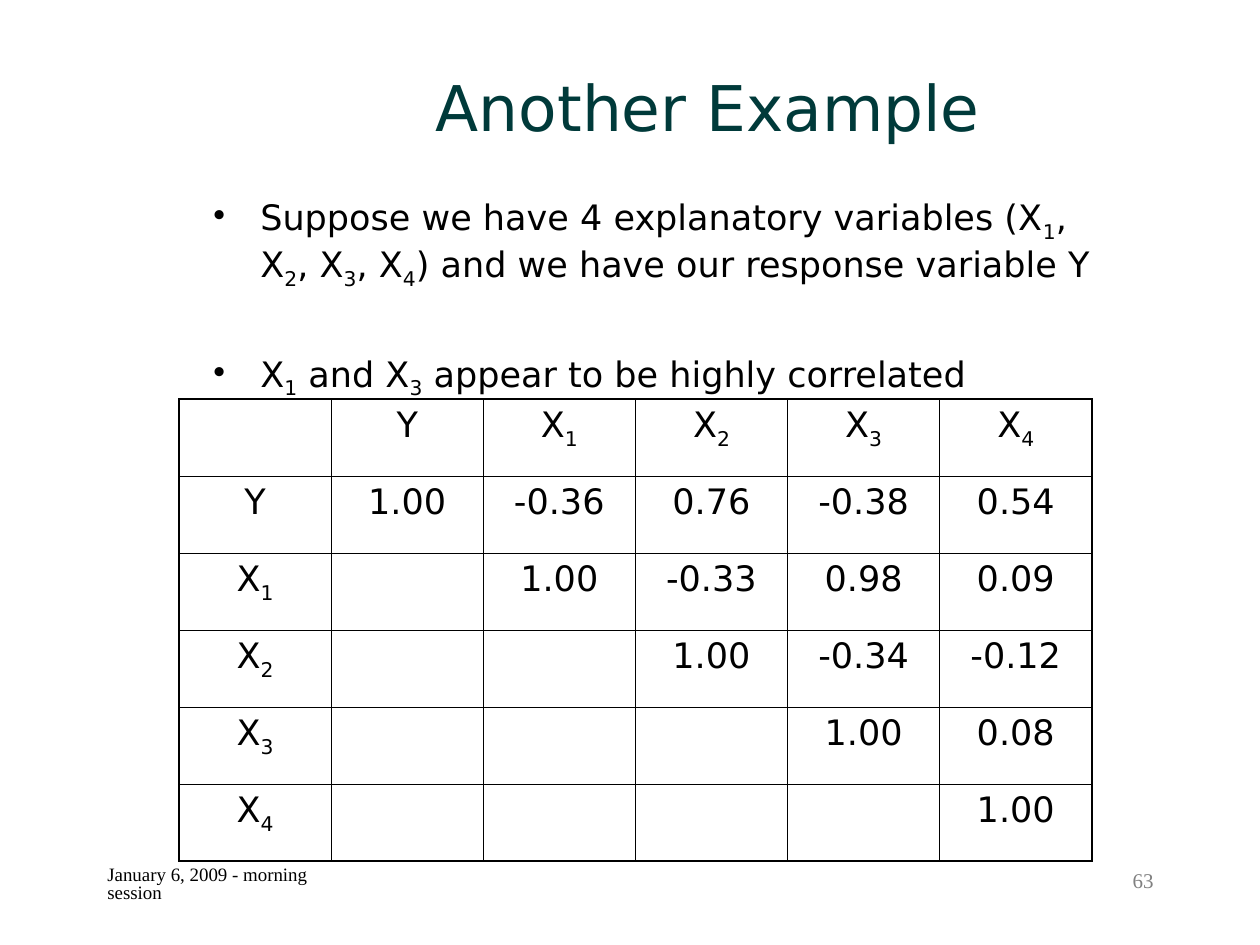
from lxml.etree import SubElement
from pptx import Presentation
from pptx.dml.color import RGBColor
from pptx.enum.text import MSO_ANCHOR, PP_ALIGN
from pptx.oxml.ns import qn
from pptx.util import Emu, Pt

PX_PER_INCH = 126
COLORS = {"title": "003A3A", "text": "000000", "border": "000000", "number": "808080"}
SANS, SERIF = "DejaVu Sans", "Times New Roman"
THIN, THICK = 0.45, 1.08

# An underscore puts the next character in subscript.
BULLETS = [
    "Suppose we have 4 explanatory variables (X_1, X_2, X_3, X_4)"
    " and we have our response variable Y",
    "X_1 and X_3 appear to be highly correlated",
]
VARIABLES = ["Y", "X_1", "X_2", "X_3", "X_4"]
CORRELATIONS = [
    ["1.00", "-0.36", "0.76", "-0.38", "0.54"],
    ["1.00", "-0.33", "0.98", "0.09"],
    ["1.00", "-0.34", "-0.12"],
    ["1.00", "0.08"],
    ["1.00"],
]


def px(length):
    return Emu(round(length * 914400 / PX_PER_INCH))


def place(shape, box):
    shape.left, shape.top, shape.width, shape.height = map(px, box)


def write(para, text, size, font, color, align=PP_ALIGN.LEFT):
    """Fill a paragraph, setting each character after an underscore in subscript."""
    para.alignment = align
    para.font.size = Pt(size)
    para.font.name = font
    para.font.color.rgb = RGBColor.from_string(COLORS[color])
    plain, *marked = text.split("_")
    para.add_run().text = plain
    for part in marked:
        subscript = para.add_run()
        subscript.text = part[0]
        subscript.font._element.set("baseline", "-25000")
        if part[1:]:
            para.add_run().text = part[1:]


def add_text_frame(page, box):
    frame = page.shapes.add_textbox(*map(px, box)).text_frame
    frame.word_wrap = True
    return frame


def add_title(page, box):
    title = page.shapes.title
    place(title, box)
    frame = title.text_frame
    frame.vertical_anchor = MSO_ANCHOR.TOP
    frame.margin_top = px(13)
    write(frame.paragraphs[0], "Another Example", 36, SANS, "title", PP_ALIGN.CENTER)


def add_bullets(page, box):
    frame = add_text_frame(page, box)
    for index, text in enumerate(BULLETS):
        para = frame.add_paragraph() if index else frame.paragraphs[0]
        if index:
            para.space_before = Pt(35)
        properties = para._p.get_or_add_pPr()
        properties.set("marL", str(px(59)))
        properties.set("indent", str(px(-47)))
        SubElement(properties, qn("a:buChar")).set("char", "•")
        write(para, text, 20, SANS, "text")


def set_border(cell, side, width):
    line = SubElement(cell._tc.get_or_add_tcPr(), qn(f"a:ln{side}"), w=str(Pt(width)))
    fill = SubElement(line, qn("a:solidFill"))
    SubElement(fill, qn("a:srgbClr"), val=COLORS["border"])


def add_correlation_table(page, box):
    rows = [["", *VARIABLES]]
    for index, (name, values) in enumerate(zip(VARIABLES, CORRELATIONS)):
        rows.append([name, *[""] * index, *values])
    size = len(rows)
    table = page.shapes.add_table(size, size, *map(px, box)).table
    for column in table.columns:
        column.width = px(box[2] / size)
    for row in table.rows:
        row.height = px(box[3] / size)
    last = size - 1
    for r, texts in enumerate(rows):
        for c, text in enumerate(texts):
            cell = table.cell(r, c)
            outer = {"L": c == 0, "R": c == last, "T": r == 0, "B": r == last}
            for side, is_outer in outer.items():
                set_border(cell, side, THICK if is_outer else THIN)
            cell.fill.background()
            if text:
                write(cell.text_frame.paragraphs[0], text, 20, SANS, "text",
                      PP_ALIGN.CENTER)


def add_footer(page, box):
    """Put the date at the left end of the box and the page number at the right."""
    left, top, width, height = box
    part = 262
    date = add_text_frame(page, (left, top, part, height)).paragraphs[0]
    date.line_spacing = 0.8
    write(date, "January 6, 2009 - morning session", 10.8, SERIF, "text")
    number = add_text_frame(page, (left + width - part, top, part, height))
    write(number.paragraphs[0], "63", 12, SERIF, "number", PP_ALIGN.RIGHT)


def main():
    deck = Presentation()
    deck.slide_width, deck.slide_height = px(1260), px(945)
    page = deck.slides.add_slide(deck.slide_layouts[5])
    add_footer(page, (95, 861, 1071, 63))
    add_title(page, (199, 55, 1018, 109))
    add_bullets(page, (189, 189, 945, 675))
    add_correlation_table(page, (179, 399, 913, 462))
    deck.save("out.pptx")


if __name__ == "__main__":
    main()
